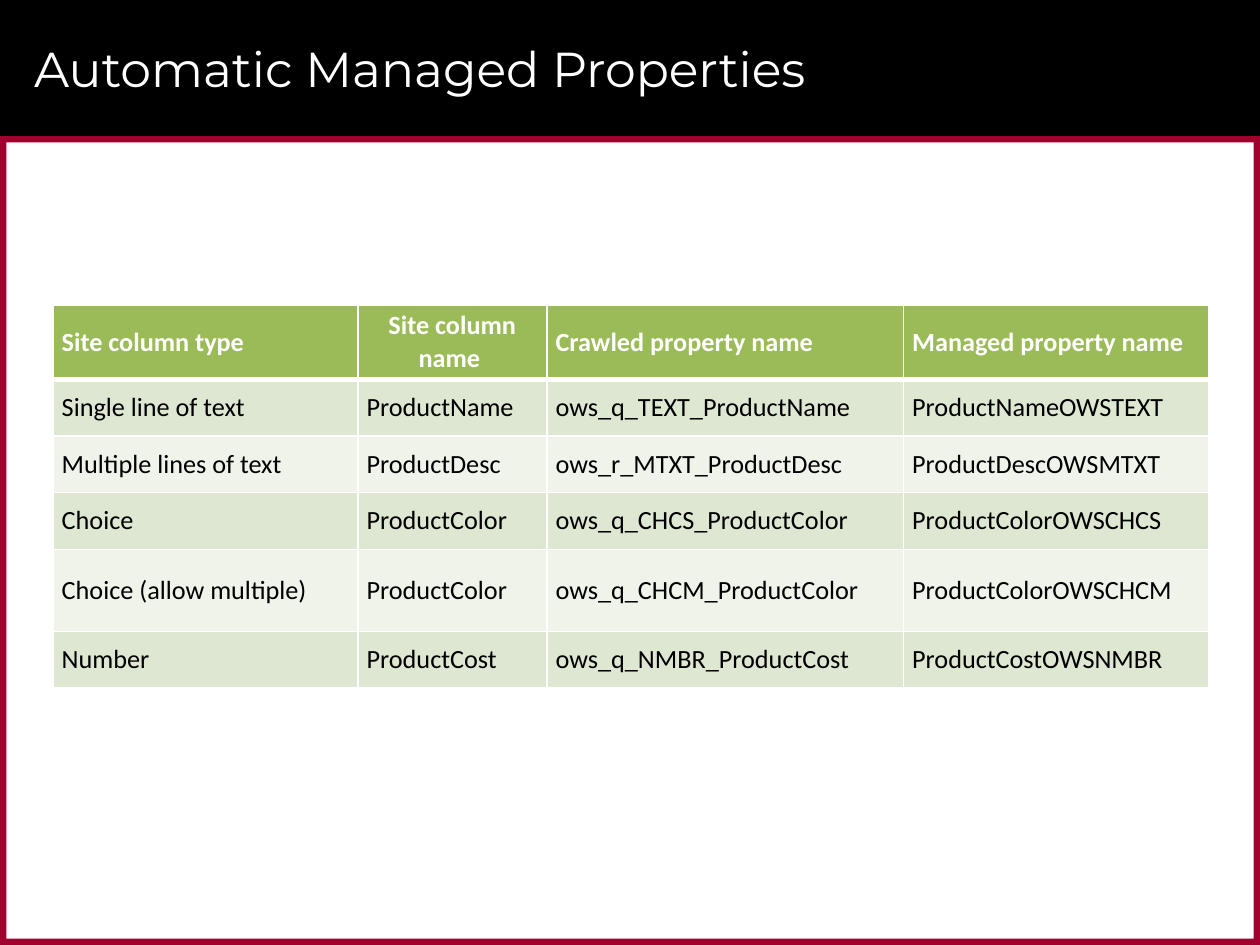
from lxml.etree import SubElement as Sub
from pptx import Presentation
from pptx.dml.color import RGBColor as RGB
from pptx.enum.shapes import MSO_SHAPE as Kind
from pptx.enum.text import MSO_ANCHOR as Anchor, PP_ALIGN as Align
from pptx.oxml.ns import qn
from pptx.util import Inches, Pt

BLACK = RGB(0x00, 0x00, 0x00)
WHITE = RGB(0xFF, 0xFF, 0xFF)
RED = RGB(0x9F, 0x00, 0x2D)
GREEN = RGB(0x9B, 0xBB, 0x59)
BANDS = [RGB(0xEF, 0xF3, 0xEA), RGB(0xDE, 0xE7, 0xD1)]

WIDTH, HEIGHT = 10, 7.5
HEAD, EDGE = 1.08, 0.05
COLS = [2.42, 1.5, 2.83, 2.42]
ROWS = [0.45, 0.45, 0.45, 0.45, 0.65, 0.45]
DATA = [
    ["Site column type", "Site column name ", "Crawled property name",
     "Managed property name"],
    ["Single line of text", "ProductName", "ows_q_TEXT_ProductName",
     "ProductNameOWSTEXT"],
    ["Multiple lines of text", "ProductDesc", "ows_r_MTXT_ProductDesc",
     "ProductDescOWSMTXT"],
    ["Choice", "ProductColor", "ows_q_CHCS_ProductColor",
     "ProductColorOWSCHCS"],
    ["Choice (allow multiple)", "ProductColor", "ows_q_CHCM_ProductColor",
     "ProductColorOWSCHCM"],
    ["Number", "ProductCost", "ows_q_NMBR_ProductCost",
     "ProductCostOWSNMBR"],
]


def add_bar(slide, box, color):
    bar = slide.shapes.add_shape(Kind.RECTANGLE, *map(Inches, box))
    bar.shadow.inherit = False
    bar.fill.solid()
    bar.fill.fore_color.rgb = color
    bar.line.fill.background()


def add_frame(slide):
    """Draw the black header and the red border below it."""
    side = HEIGHT - HEAD
    add_bar(slide, (0, 0, WIDTH, HEAD), BLACK)
    for box in [(0, HEAD, WIDTH, EDGE), (0, HEIGHT - EDGE, WIDTH, EDGE),
                (WIDTH - EDGE, HEAD, EDGE, side), (0, HEAD, EDGE, side)]:
        add_bar(slide, box, RED)


def style_text(par, font, size, color, bold=False):
    for run in par.runs:
        run.font.name = font
        run.font.size = Pt(size)
        run.font.color.rgb = color
        run.font.bold = bold


def set_title(slide, text):
    title = slide.shapes.title
    title.left, title.top = Inches(0.17), Inches(0.08)
    title.width, title.height = Inches(9.42), Inches(0.92)
    frame = title.text_frame
    frame.text = text
    frame.vertical_anchor = Anchor.MIDDLE
    par = frame.paragraphs[0]
    par.alignment = Align.LEFT
    style_text(par, "Montserrat", 28, WHITE)
    # Bring the title in front of the header bar.
    slide.shapes._spTree.append(title._element)


def set_edges(cell, row):
    """Give a cell white borders, thicker between header and body."""
    props = cell._tc.get_or_add_tcPr()
    top = 3 if row == 1 else 1
    bottom = 3 if row == 0 else 1
    for tag, size in [("lnL", 1), ("lnR", 1), ("lnT", top), ("lnB", bottom)]:
        line = Sub(props, qn(f"a:{tag}"), w=str(Pt(size)))
        fill = Sub(line, qn("a:solidFill"))
        Sub(fill, qn("a:srgbClr"), val=str(WHITE))


def fill_cell(cell, text, row, col):
    head = row == 0
    cell.text = text
    cell.vertical_anchor = Anchor.MIDDLE
    cell.margin_left = cell.margin_right = Inches(0.07)
    cell.margin_top = cell.margin_bottom = Inches(0.04)
    par = cell.text_frame.paragraphs[0]
    par.alignment = Align.CENTER if head and col == 1 else Align.LEFT
    style_text(par, "Calibri", 15, WHITE if head else BLACK, head)
    set_edges(cell, row)
    cell.fill.solid()
    cell.fill.fore_color.rgb = GREEN if head else BANDS[row % 2]


def add_grid(slide):
    table = slide.shapes.add_table(
        len(ROWS), len(COLS), Inches(0.42), Inches(2.42),
        Inches(sum(COLS)), Inches(sum(ROWS))).table
    for col, width in zip(table.columns, COLS):
        col.width = Inches(width)
    for row, height in zip(table.rows, ROWS):
        row.height = Inches(height)
    for r, texts in enumerate(DATA):
        for c, text in enumerate(texts):
            fill_cell(table.cell(r, c), text, r, c)


def main():
    deck = Presentation()
    deck.slide_width, deck.slide_height = Inches(WIDTH), Inches(HEIGHT)
    slide = deck.slides.add_slide(deck.slide_layouts[5])
    add_frame(slide)
    set_title(slide, "Automatic Managed Properties")
    add_grid(slide)
    deck.save("out.pptx")


if __name__ == "__main__":
    main()
